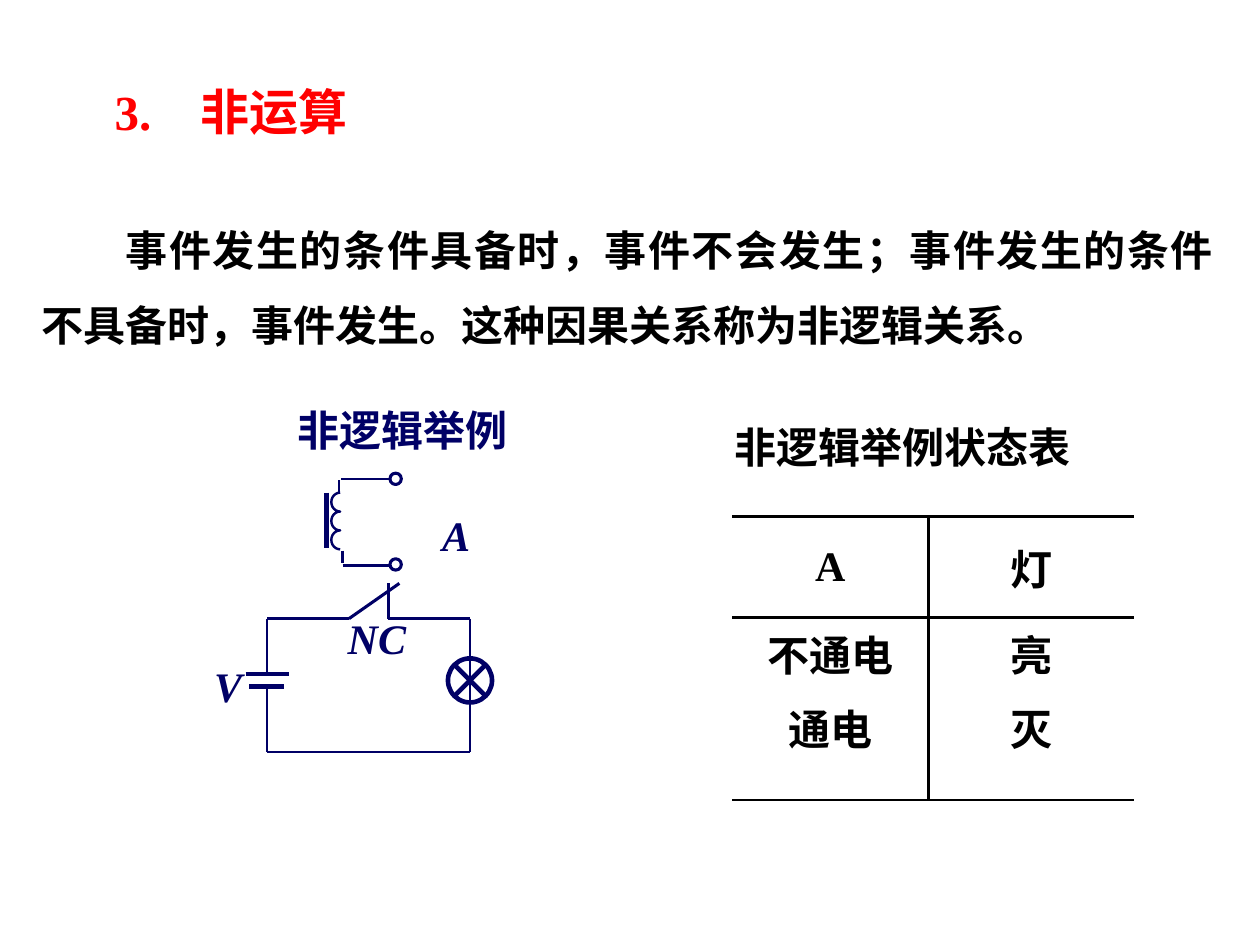
from dataclasses import dataclass
from math import cos, pi, sin

from lxml import etree
from pptx import Presentation
from pptx.dml.color import RGBColor
from pptx.enum.shapes import MSO_CONNECTOR, MSO_SHAPE
from pptx.enum.text import MSO_ANCHOR, MSO_AUTO_SIZE, PP_ALIGN
from pptx.oxml.ns import qn
from pptx.util import Inches, Pt

STRAIGHT = MSO_CONNECTOR.STRAIGHT
OVAL = MSO_SHAPE.OVAL
TOP, MIDDLE = MSO_ANCHOR.TOP, MSO_ANCHOR.MIDDLE
LEFT, CENTER, JUSTIFY = PP_ALIGN.LEFT, PP_ALIGN.CENTER, PP_ALIGN.JUSTIFY
NO_FIT = MSO_AUTO_SIZE.NONE
TITLE_ONLY = 5


@dataclass(frozen=True)
class Theme:
    """Colours, font, type sizes and line widths of the slide."""
    font: str = "Times New Roman"
    red: str = "FF0000"
    navy: str = "000066"
    black: str = "000000"
    white: str = "FFFFFF"
    title: int = 28
    body: int = 24
    rule: float = 1.5
    wire: float = 1.39
    contact: float = 1.75
    heavy: float = 2.64


class SlideBuilder:
    """Draws styled elements on the current slide."""

    def __init__(self, slide, theme):
        self.slide = slide
        self.shapes = slide.shapes
        self.theme = theme

    def paragraph(self, frame, text, color, size=None, italic=False, **layout):
        """Put one formatted paragraph into a text frame."""
        para = frame.paragraphs[0]
        for name, value in layout.items():
            setattr(para, name, value)
        span = para.add_run()
        span.text = text
        values = {"name": self.theme.font, "size": Pt(size or self.theme.body),
                  "bold": True, "italic": italic}
        for name, value in values.items():
            setattr(span.font, name, value)
        span.font.color.rgb = RGBColor.from_string(color)
        return para

    def frame(self, shape, inset, wrap):
        """Set the margins and wrapping of a shape's text frame."""
        values = {"margin_left": Inches(inset), "margin_right": Inches(inset),
                  "margin_top": Inches(inset / 2), "margin_bottom": Inches(inset / 2),
                  "word_wrap": wrap, "auto_size": NO_FIT, "vertical_anchor": TOP}
        for name, value in values.items():
            setattr(shape.text_frame, name, value)
        return shape.text_frame

    def title(self, text, left, top, width, height):
        """Move and fill the title placeholder."""
        box = self.shapes.title
        place = {"left": left, "top": top, "width": width, "height": height}
        for name, value in place.items():
            setattr(box, name, Inches(value))
        self.paragraph(self.frame(box, 0.1, True), text, self.theme.red,
                       self.theme.title, alignment=LEFT, line_spacing=1.0)

    def text(self, text, bounds, color, inset=0.0, wrap=False, italic=False,
             indent=0.0, **layout):
        """Add a text box holding one paragraph."""
        box = self.shapes.add_textbox(*map(Inches, bounds))
        para = self.paragraph(self.frame(box, inset, wrap), text, color,
                              italic=italic, **layout)
        if indent:
            para._p.get_or_add_pPr().set("indent", str(Inches(indent)))

    def stroke(self, line, width):
        """Give a line the circuit colour and a width."""
        line.color.rgb = RGBColor.from_string(self.theme.navy)
        line.width = Pt(width)

    def line(self, start, end, width):
        """Add a straight line between two points."""
        connector = self.shapes.add_connector(
            STRAIGHT, *map(Inches, (*start, *end)))
        self.stroke(connector.line, width)
        etree.SubElement(connector._element.spPr, qn("a:effectLst"))

    def circle(self, center, diameter, width, fill=None):
        """Add a circle around a centre point."""
        left, top = (value - diameter / 2 for value in center)
        shape = self.shapes.add_shape(
            OVAL, *map(Inches, (left, top, diameter, diameter)))
        shape.shadow.inherit = False
        if fill:
            shape.fill.solid()
            shape.fill.fore_color.rgb = RGBColor.from_string(fill)
        else:
            shape.fill.background()
        self.stroke(shape.line, width)

    def coil(self, x, top, radius, pitch, turns):
        """Add a coil of half-round turns opening to the right."""
        steps = 12
        points = [
            (Inches(x - radius * sin(pi * step / steps)),
             Inches(top + pitch * (turn + (1 - cos(pi * step / steps)) / 2)))
            for turn in range(turns) for step in range(steps + 1)]
        outline = self.shapes.build_freeform(*points[0])
        outline.add_line_segments(points[1:], close=False)
        shape = outline.convert_to_shape()
        shape.shadow.inherit = False
        shape.fill.background()
        self.stroke(shape.line, self.theme.wire)

    def border(self, cell, sides):
        """Draw the named sides of a cell and hide the others."""
        properties = cell._tc.get_or_add_tcPr()
        for index, side in enumerate("LRTB"):
            line = etree.Element(qn(f"a:ln{side}"), w=str(Pt(self.theme.rule)))
            if side in sides:
                fill = etree.SubElement(line, qn("a:solidFill"))
                etree.SubElement(fill, qn("a:srgbClr"), val=self.theme.black)
            else:
                etree.SubElement(line, qn("a:noFill"))
            properties.insert(index, line)

    def table(self, rows, left, top, widths, heights):
        """Add a state table ruled around its header and between columns."""
        grid = self.shapes.add_table(
            len(rows), len(widths),
            *map(Inches, (left, top, sum(widths), sum(heights)))).table
        grid.first_row = grid.horz_banding = False
        for column, width in zip(grid.columns, widths):
            column.width = Inches(width)
        sides = ("TB", "T", "B")
        bottoms = (0, 0, 0.28)
        for r, (labels, height) in enumerate(zip(rows, heights)):
            grid.rows[r].height = Inches(height)
            for c, label in enumerate(labels):
                cell = grid.cell(r, c)
                values = {"margin_left": 0, "margin_right": 0, "margin_top": 0,
                          "margin_bottom": Inches(bottoms[r]),
                          "vertical_anchor": MIDDLE}
                for name, value in values.items():
                    setattr(cell, name, value)
                cell.fill.background()
                self.border(cell, sides[r] + "RL"[c])
                self.paragraph(cell.text_frame, label, self.theme.black,
                               alignment=CENTER)


def draw_circuit(page, theme):
    """Draw the relay, battery, contact and lamp."""
    left, right, top, bottom = 2.12, 3.73, 4.91, 5.97
    lamp_y, reach = 5.4, 0.13
    wires = [
        ((2.71, 3.8), (3.14, 3.8)), ((2.69, 3.81), (2.69, 3.91)),
        ((2.72, 4.37), (2.72, 4.47)), ((2.72, 4.49), (3.14, 4.49)),
        ((left, top), (2.77, top)), ((3.08, top), (right, top)),
        ((left, top), (left, 5.34)), ((left, 5.45), (left, bottom)),
        ((right, bottom), (left, bottom)), ((right, top), (right, bottom))]
    contacts = [((2.77, top), (3.17, 4.63)), ((3.08, top), (3.08, 4.63))]
    heavy = [((1.95, 5.35), (2.29, 5.35)), ((1.98, 5.45), (2.25, 5.45)),
             ((2.59, 3.91), (2.59, 4.35))]
    heavy += [((right - reach, lamp_y - slope), (right + reach, lamp_y + slope))
              for slope in (reach, -reach)]
    for lines, width in ((wires, theme.wire), (contacts, theme.contact),
                         (heavy, theme.heavy)):
        for start, end in lines:
            page.line(start, end, width)
    page.circle((right, lamp_y), 0.35, theme.heavy)
    page.coil(2.7, 3.91, 0.07, 0.15, 3)
    for y in (3.8, 4.48):
        page.circle((3.14, y), 0.09, theme.contact, theme.white)
    for label, x, y, width in (("A", 3.51, 4.04, 0.22), ("V", 1.7, 5.24, 0.22),
                               ("NC", 2.76, 4.86, 0.46)):
        page.text(label, (x, y, width, 0.4), theme.navy, italic=True)
    page.text("非逻辑举例", (2.26, 3.16, 1.86, 0.5), theme.navy, inset=0.1)


def main():
    """Build and save the slide."""
    deck = Presentation()
    deck.slide_width, deck.slide_height = Inches(10), Inches(7.5)
    theme = Theme()
    page = SlideBuilder(deck.slides.add_slide(deck.slide_layouts[TITLE_ONLY]), theme)
    page.title("3.　非运算", 0.81, 0.6, 3.33, 0.57)
    page.text("事件发生的条件具备时，事件不会发生；事件发生的条件不具备时，事件发生。这种因果关系称为非逻辑关系。",
              (0.23, 1.53, 9.5, 1.3), theme.black, inset=0.1, wrap=True,
              indent=0.67, alignment=JUSTIFY, line_spacing=1.5)
    page.text("非逻辑举例状态表", (5.83, 3.39, 3.07, 0.36), theme.black,
              wrap=True, line_spacing=0.9)
    page.table([("A", "灯"), ("不通电", "亮"), ("通电", "灭")],
               5.81, 4.1, (1.56, 1.63), (0.8, 0.57, 0.88))
    draw_circuit(page, theme)
    deck.save("out.pptx")


if __name__ == "__main__":
    main()
